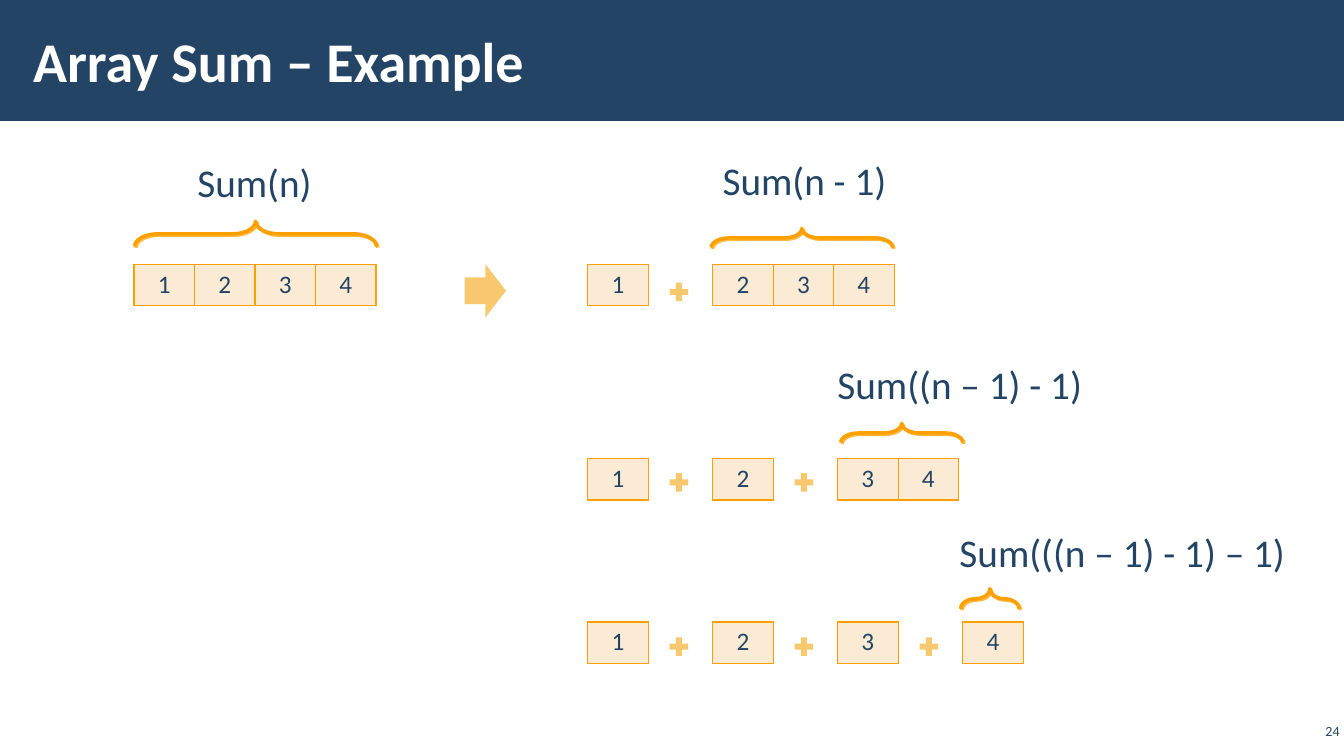
"""Build the slide that unrolls a recursive array sum step by step."""
import dataclasses

import pptx
import pptx.dml.color
import pptx.enum.shapes
import pptx.enum.text
import pptx.oxml
import pptx.oxml.ns
import pptx.util

RGBColor = pptx.dml.color.RGBColor
Shapes = pptx.enum.shapes.MSO_SHAPE
Align = pptx.enum.text.PP_ALIGN
Anchor = pptx.enum.text.MSO_ANCHOR
AutoSize = pptx.enum.text.MSO_AUTO_SIZE

NAVY = RGBColor(0x23, 0x44, 0x65)
WHITE = RGBColor(0xFF, 0xFF, 0xFF)
ORANGE = RGBColor(0xFF, 0xA0, 0x00)
BRACE_SHADOW = RGBColor(0xFF, 0xB8, 0x40)
AMBER = RGBColor(0xF7, 0xC8, 0x6D)
CREAM = RGBColor(0xFC, 0xEB, 0xD4)

FONT = "Calibri"
COLUMNS, ROWS = 133.33, 75
GRID_UNIT = pptx.util.Inches(0.1)
CELL_WIDTH, CELL_HEIGHT = 6, 4.1
FIRST_TERM, TERM_STEP = 58.3, 12.4
PLUS_OFFSET, PLUS_SIZE = 7.8, 2.5


@dataclasses.dataclass(frozen=True)
class Area:
    left: float
    top: float
    width: float
    height: float

    def lengths(self) -> tuple[int, ...]:
        return tuple(grid(value) for value in dataclasses.astuple(self))


@dataclasses.dataclass(frozen=True)
class Step:
    array_top: float
    singles: str
    remaining: str
    label: str
    label_area: Area
    brace_area: Area
    plus_top: float = 0
    first_left: float = FIRST_TERM


STEPS = (
    Step(26.2, "", "1234", "Sum(n)",
         Area(18.6, 15.2, 13.5, 5.7), Area(13.35, 21.95, 24, 2.5), first_left=13.3),
    Step(26.2, "1", "234", "Sum(n - 1)",
         Area(70.7, 15, 18.5, 5.7), Area(70.55, 22.65, 18, 1.9), plus_top=27.7),
    Step(45.5, "12", "34", "Sum((n – 1) - 1)",
         Area(82.1, 35.3, 26.6, 5.7), Area(83.4, 42, 12.1, 1.9), plus_top=46.6),
    Step(61.7, "123", "4", "Sum(((n – 1) - 1) – 1)",
         Area(94.2, 51.9, 35.9, 5.7), Area(95.3, 58.4, 5.8, 2), plus_top=62.9),
)


def grid(units: float) -> int:
    return round(units * GRID_UNIT)


def format_text(frame, text: str, *, size: float, color: RGBColor = NAVY,
                bold: bool = False, align=Align.LEFT) -> None:
    paragraph = frame.paragraphs[0]
    paragraph.alignment = align
    run = paragraph.add_run()
    run.text = text
    run.font.name = FONT
    run.font.size = pptx.util.Pt(size)
    run.font.bold = bold
    run.font.color.rgb = color


def add_text(slide, area: Area, text: str, *, wrap: bool = True,
             anchor=Anchor.MIDDLE, margins: tuple[float, float] = (1, 0.5),
             **text_format) -> None:
    frame = slide.shapes.add_textbox(*area.lengths()).text_frame
    frame.word_wrap = wrap
    frame.auto_size = AutoSize.NONE if wrap else AutoSize.SHAPE_TO_FIT_TEXT
    frame.vertical_anchor = anchor
    frame.margin_left = frame.margin_right = grid(margins[0])
    frame.margin_top = frame.margin_bottom = grid(margins[1])
    format_text(frame, text, **text_format)


def add_solid(slide, kind, area: Area, color: RGBColor) -> None:
    shape = slide.shapes.add_shape(kind, *area.lengths())
    shape.shadow.inherit = False
    shape.fill.solid()
    shape.fill.fore_color.rgb = color
    shape.line.fill.background()


def add_brace(slide, area: Area) -> None:
    turned = Area(area.left + (area.width - area.height) / 2,
                  area.top + (area.height - area.width) / 2,
                  area.height, area.width)
    brace = slide.shapes.add_shape(Shapes.LEFT_BRACE, *turned.lengths())
    brace.rotation = 90
    brace.adjustments[0] = 0.92
    brace.fill.background()
    brace.line.color.rgb = ORANGE
    brace.line.width = pptx.util.Pt(2.5)
    brace.shadow.inherit = False
    effects = brace._element.spPr.find(pptx.oxml.ns.qn("a:effectLst"))
    effects.append(pptx.oxml.parse_xml(
        f'<a:outerShdw {pptx.oxml.ns.nsdecls("a")} blurRad="0" '
        f'dist="{pptx.util.Pt(1.4)}" dir="2700000" rotWithShape="0">'
        f'<a:srgbClr val="{BRACE_SHADOW}"/></a:outerShdw>'))


def add_borders(cell) -> None:
    properties = cell._tc.get_or_add_tcPr()
    for side in "LRTB":
        properties.append(pptx.oxml.parse_xml(
            f'<a:ln{side} {pptx.oxml.ns.nsdecls("a")} w="{pptx.util.Pt(1)}">'
            f'<a:solidFill><a:srgbClr val="{ORANGE}"/></a:solidFill></a:ln{side}>'))


def add_array(slide, values: str, left: float, top: float) -> None:
    area = Area(left, top, CELL_WIDTH * len(values), CELL_HEIGHT)
    table = slide.shapes.add_table(1, len(values), *area.lengths()).table
    table.first_row = table.horz_banding = False
    for index, value in enumerate(values):
        table.columns[index].width = grid(CELL_WIDTH)
        cell = table.cell(0, index)
        add_borders(cell)
        cell.fill.solid()
        cell.fill.fore_color.rgb = CREAM
        format_text(cell.text_frame, value, size=18, align=Align.CENTER)


def add_step(slide, step: Step) -> None:
    add_text(slide, step.label_area, step.label, wrap=False, anchor=Anchor.TOP, size=28)
    add_brace(slide, step.brace_area)
    for index, values in enumerate((*step.singles, step.remaining)):
        left = step.first_left + index * TERM_STEP
        add_array(slide, values, left, step.array_top)
        if index < len(step.singles):
            add_solid(slide, Shapes.MATH_PLUS,
                      Area(left + PLUS_OFFSET, step.plus_top, PLUS_SIZE, PLUS_SIZE), AMBER)


def main() -> None:
    presentation = pptx.Presentation()
    presentation.slide_width = grid(COLUMNS)
    presentation.slide_height = grid(ROWS)
    slide = presentation.slides.add_slide(presentation.slide_layouts[6])
    add_solid(slide, Shapes.RECTANGLE, Area(0, 0, COLUMNS, 12), NAVY)
    add_text(slide, Area(2.1, 1.1, 104, 9.7), "Array Sum – Example",
             margins=(1.2, 0.4), size=40, color=WHITE, bold=True)
    add_text(slide, Area(128.6, 71.4, 4.7, 2.2), "24",
             margins=(0.4, 0.4), size=10, align=Align.RIGHT)
    add_solid(slide, Shapes.RIGHT_ARROW, Area(46.1, 26.2, 4.1, 5.3), AMBER)
    for step in STEPS:
        add_step(slide, step)
    presentation.save("out.pptx")


if __name__ == "__main__":
    main()
